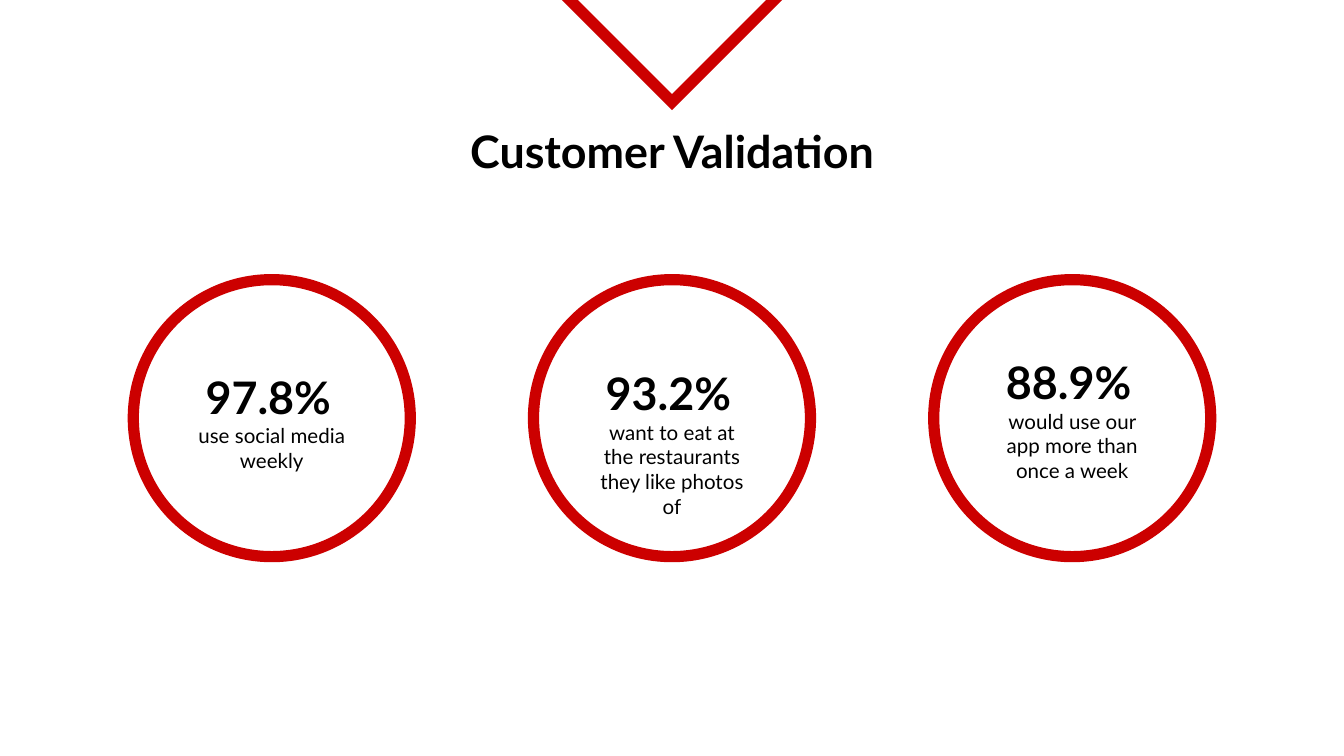
from lxml.etree import SubElement
from pptx import Presentation
from pptx.dml.color import RGBColor
from pptx.enum.shapes import MSO_SHAPE as Preset
from pptx.enum.text import MSO_ANCHOR as Anchor, MSO_AUTO_SIZE as AutoSize, PP_ALIGN as Align
from pptx.oxml.ns import qn
from pptx.util import Pt

COLORS = {"red": "CC0000", "text": "000000"}
INSET = 7.2


def add_outline(preset, left, top, width, height):
    shape = slide.shapes.add_shape(preset, Pt(left), Pt(top), Pt(width), Pt(height))
    shape.shadow.inherit = False
    shape.fill.background()
    shape.line.color.rgb = RGBColor.from_string(COLORS["red"])
    shape.line.width = Pt(6)
    return shape


def set_font(font, size, bold=False, name="Lato"):
    font.name = name
    font.size = Pt(size)
    font.bold = bold
    font.color.rgb = RGBColor.from_string(COLORS["text"])


presentation = Presentation()
presentation.slide_width, presentation.slide_height = Pt(720), Pt(405)
slide = presentation.slides.add_slide(presentation.slide_layouts[5])

# Chevron hanging from the top edge, with a sharp tip
chevron = add_outline(Preset.ISOSCELES_TRIANGLE, 301, -4.3, 118, 59)
chevron.rotation = 180
SubElement(chevron.line._get_or_add_ln(), qn("a:miter"), lim="800000")

# Title
title = slide.shapes.title
title.left, title.top, title.width, title.height = Pt(81.4), Pt(59), Pt(557.2), Pt(42.5)
frame = title.text_frame
frame.text = "Customer Validation"
frame.auto_size = AutoSize.NONE
frame.vertical_anchor = Anchor.TOP
frame.margin_left = frame.margin_right = frame.margin_top = frame.margin_bottom = Pt(INSET)
frame.paragraphs[0].alignment = Align.CENTER
set_font(frame.paragraphs[0].font, 24, bold=True)

# Circles, each with a percentage and its statement
DIAMETER, PITCH, TEXT_WIDTH = 148.4, 214.4, 98
statistics = [
    ("97.8%", "use social media weekly", 190.8),
    ("93.2%", "want to eat at the restaurants they like photos of", 188.8),
    ("88.9%", "would use our app more than once a week", 182.9),
]
for index, (percentage, statement, text_top) in enumerate(statistics):
    center = 360 + (index - 1) * PITCH
    add_outline(Preset.OVAL, center - DIAMETER / 2, 149.8, DIAMETER, DIAMETER)

    box = slide.shapes.add_textbox(Pt(center - TEXT_WIDTH / 2), Pt(text_top), Pt(TEXT_WIDTH), Pt(34.6))
    frame = box.text_frame
    frame.word_wrap = True
    frame.margin_left = frame.margin_right = frame.margin_top = frame.margin_bottom = Pt(INSET)

    paragraph = frame.paragraphs[0]
    paragraph.alignment = Align.CENTER
    for text, size, name in [(percentage, 24, "Lato"), (" ", 14, "Arial")]:
        run = paragraph.add_run()
        run.text = text
        set_font(run.font, size, bold=True, name=name)

    paragraph = frame.add_paragraph()
    paragraph.text = statement
    paragraph.alignment = Align.CENTER
    set_font(paragraph.font, 11)

presentation.save("out.pptx")
